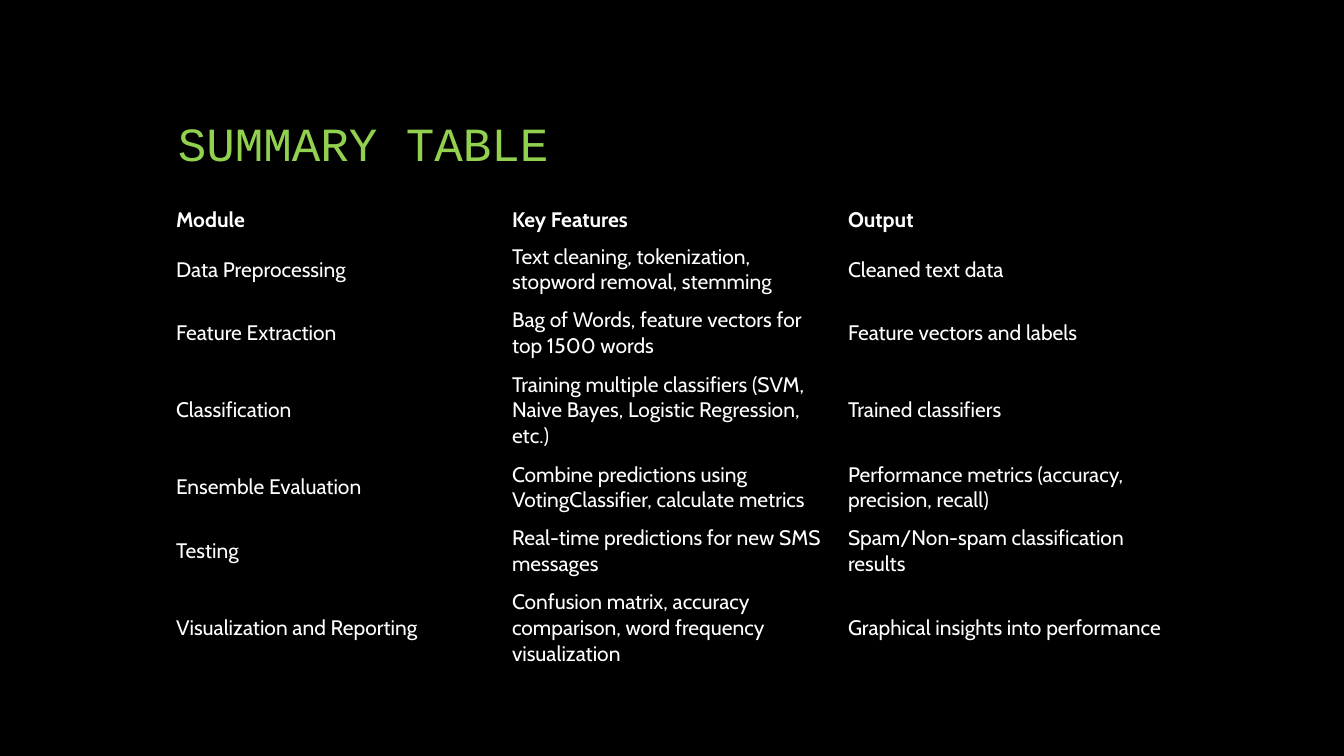
from pptx import Presentation
from pptx.dml.color import RGBColor
from pptx.enum.text import MSO_ANCHOR
from pptx.util import Inches, Pt

# Content
TITLE = "SUMMARY TABLE"
HEADER = ("Module", "Key Features", "Output")
MODULES = [
    ("Data Preprocessing",
     "Text cleaning, tokenization, stopword removal, stemming",
     "Cleaned text data"),
    ("Feature Extraction",
     "Bag of Words, feature vectors for top 1500 words",
     "Feature vectors and labels"),
    ("Classification",
     "Training multiple classifiers (SVM, Naive Bayes, Logistic Regression, etc.)",
     "Trained classifiers"),
    ("Ensemble Evaluation",
     "Combine predictions using VotingClassifier, calculate metrics",
     "Performance metrics (accuracy, precision, recall)"),
    ("Testing",
     "Real-time predictions for new SMS messages",
     "Spam/Non-spam classification results"),
    ("Visualization and Reporting",
     "Confusion matrix, accuracy comparison, word frequency visualization",
     "Graphical insights into performance"),
]
ROW_LINES = (1, 2, 2, 3, 2, 2, 3)

# Format
COLORS = {"background": "000000", "title": "92D050", "text": "FFFFFF"}
PLAIN_TABLE_STYLE = "{2D5ABB26-0587-4C30-8999-92F81FD0307C}"

# Layout in inches
SLIDE_WIDTH, SLIDE_HEIGHT = 13.33, 7.5
CONTENT_WIDTH = SLIDE_WIDTH * 0.75
LEFT = (SLIDE_WIDTH - CONTENT_WIDTH) / 2
TITLE_TOP, TITLE_HEIGHT = 0.5, 1.25
TABLE_TOP = 2
LINE_HEIGHT = 0.27
CELL_MARGIN_X, CELL_MARGIN_Y = 0.08, 0.04


def write_text(text_frame, text, font="Cabin", size=15, color="text",
               bold=False, line_spacing=None):
    paragraph = text_frame.paragraphs[0]
    paragraph.line_spacing = line_spacing
    run = paragraph.add_run()
    run.text = text
    run.font.name = font
    run.font.size = Pt(size)
    run.font.bold = bold
    run.font.color.rgb = RGBColor.from_string(COLORS[color])


def add_title(slide):
    title = slide.shapes.add_textbox(
        Inches(LEFT), Inches(TITLE_TOP), Inches(CONTENT_WIDTH), Inches(TITLE_HEIGHT))
    title.text_frame.word_wrap = True
    title.text_frame.vertical_anchor = MSO_ANCHOR.BOTTOM
    write_text(title.text_frame, TITLE, font="Courier New", size=34,
               color="title", line_spacing=0.9)


def add_summary_table(slide):
    rows = [HEADER, *MODULES]
    heights = [lines * LINE_HEIGHT + 0.09 for lines in ROW_LINES]
    frame = slide.shapes.add_table(
        len(rows), len(HEADER), Inches(LEFT), Inches(TABLE_TOP),
        Inches(CONTENT_WIDTH), Inches(sum(heights)))
    table = frame.table
    table.horz_banding = False
    table._tbl.tblPr[0].text = PLAIN_TABLE_STYLE

    for row_index, (values, height) in enumerate(zip(rows, heights)):
        table.rows[row_index].height = Inches(height)
        for column_index, value in enumerate(values):
            cell = table.cell(row_index, column_index)
            cell.fill.background()
            cell.vertical_anchor = MSO_ANCHOR.MIDDLE
            cell.margin_left = cell.margin_right = Inches(CELL_MARGIN_X)
            cell.margin_top = cell.margin_bottom = Inches(CELL_MARGIN_Y)
            write_text(cell.text_frame, value, bold=row_index == 0)


def main():
    presentation = Presentation()
    presentation.slide_width = Inches(SLIDE_WIDTH)
    presentation.slide_height = Inches(SLIDE_HEIGHT)
    slide = presentation.slides.add_slide(presentation.slide_layouts[6])
    background = slide.background.fill
    background.solid()
    background.fore_color.rgb = RGBColor.from_string(COLORS["background"])
    add_title(slide)
    add_summary_table(slide)
    presentation.save("out.pptx")


if __name__ == "__main__":
    main()
